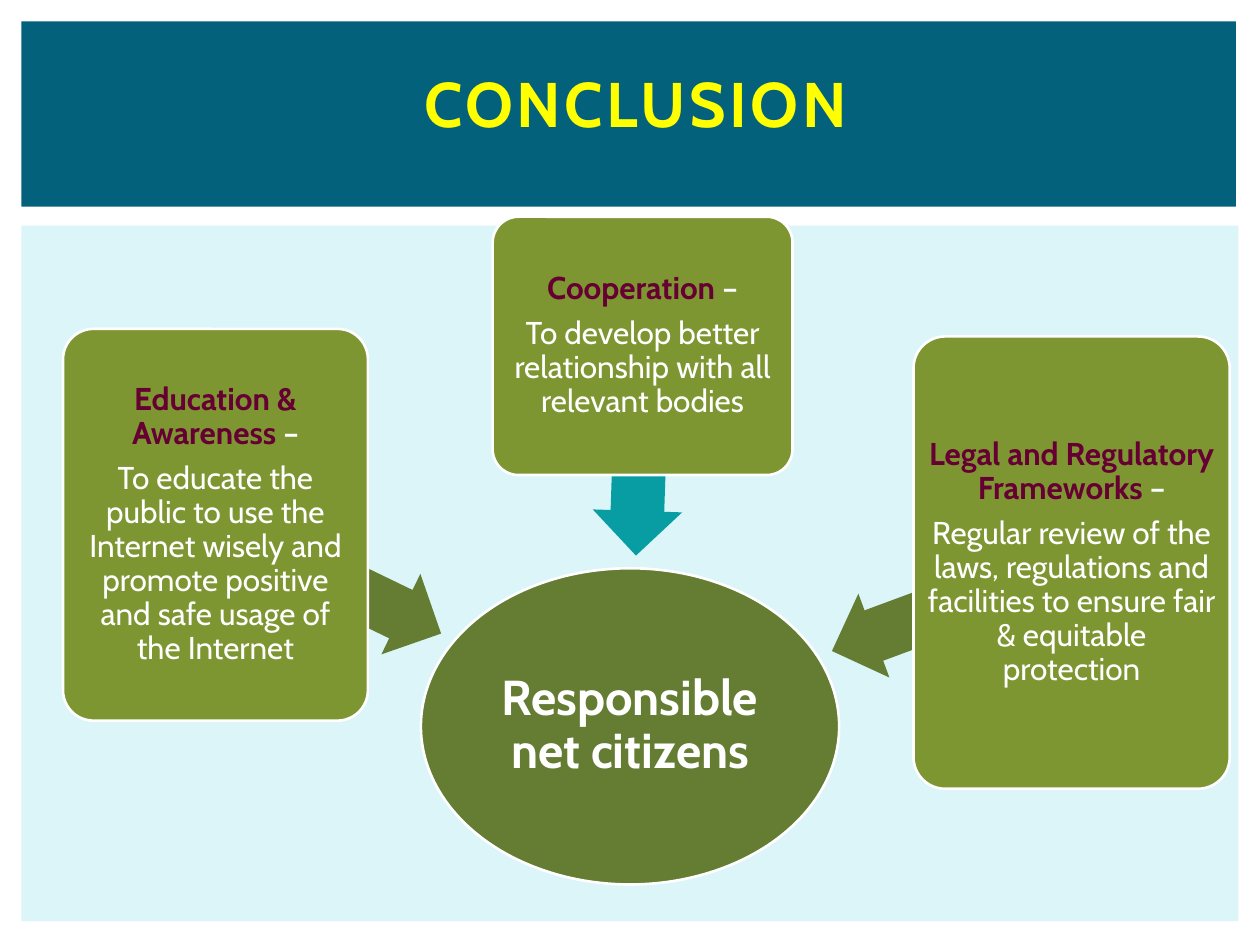
from pptx import Presentation
from pptx.dml.color import RGBColor
from pptx.enum.shapes import MSO_SHAPE
from pptx.enum.text import MSO_ANCHOR, PP_ALIGN
from pptx.util import Inches, Pt

RECTANGLE, ROUNDED = MSO_SHAPE.RECTANGLE, MSO_SHAPE.ROUNDED_RECTANGLE
OVAL, LEFT_ARROW = MSO_SHAPE.OVAL, MSO_SHAPE.LEFT_ARROW
MIDDLE, CENTER = MSO_ANCHOR.MIDDLE, PP_ALIGN.CENTER

FONT = "Cabin"
WHITE, YELLOW, MAROON = "FFFFFF", "FFFF00", "660033"
PANEL, BANNER = "DBF5F9", "04617B"
OLIVE, DARK_OLIVE, TEAL = "7E9632", "647D33", "089CA3"

TITLE = "CONCLUSION"
GOAL = "Responsible net citizens"
ARROW_HEIGHT = 0.71

# Boxes are left, top, width, height in inches; arrows are left, top, width
PILLARS = [
    {"heading": "Education & Awareness ",
     "body": "To educate the public to use the Internet wisely and promote "
             "positive and safe usage of the Internet",
     "box": (0.5, 2.61, 2.42, 3.11),
     "arrow": (1.61, 4.24, 1.99), "rotation": 205.8, "color": DARK_OLIVE},
    {"heading": "Cooperation ",
     "body": "To develop better relationship with all relevant bodies",
     "box": (3.91, 1.72, 2.38, 2.05),
     "arrow": (4.24, 3.22, 1.67), "rotation": 271.9, "color": TEAL},
    {"heading": "Legal and Regulatory Frameworks ",
     "body": "Regular review of the laws, regulations and facilities to "
             "ensure fair & equitable protection",
     "box": (7.25, 2.67, 2.51, 3.59),
     "arrow": (6.54, 4.46, 2.03), "rotation": 339.7, "color": DARK_OLIVE},
]


def rgb(color):
    return RGBColor.from_string(color)


def add_block(slide, kind, box, fill, outlined=False):
    shape = slide.shapes.add_shape(kind, *map(Inches, box))
    shape.shadow.inherit = False
    shape.fill.solid()
    shape.fill.fore_color.rgb = rgb(fill)
    if outlined:
        shape.line.color.rgb = rgb(WHITE)
        shape.line.width = Pt(1.5)
    else:
        shape.line.fill.background()
    return shape


def write(shape, paragraphs, size, margin):
    """Fill a shape with paragraphs, each a list of (text, color, bold) runs."""
    frame = shape.text_frame
    frame.word_wrap = True
    frame.vertical_anchor = MIDDLE
    frame.margin_left = frame.margin_right = Inches(margin)
    frame.margin_top = frame.margin_bottom = Inches(margin)
    for index, runs in enumerate(paragraphs):
        paragraph = frame.add_paragraph() if index else frame.paragraphs[0]
        paragraph.alignment = CENTER
        paragraph.line_spacing = 0.9
        paragraph.space_after = Pt(0.35 * size)
        paragraph.font.name = FONT
        paragraph.font.size = Pt(size)
        for text, color, bold in runs:
            run = paragraph.add_run()
            run.text = text
            run.font.name = FONT
            run.font.size = Pt(size)
            run.font.bold = bold
            run.font.color.rgb = rgb(color)


def add_title(slide):
    title = slide.shapes.add_textbox(*map(Inches, (0.58, 0.5, 8.93, 0.63)))
    write(title, [[(TITLE, YELLOW, True)]], 36, 0.05)
    paragraph = title.text_frame.paragraphs[0]
    paragraph.line_spacing = 1.0
    paragraph.space_after = Pt(0)
    paragraph.runs[0]._r.get_or_add_rPr().set("spc", "200")


def add_pillar(slide, pillar):
    arrow = add_block(slide, LEFT_ARROW, (*pillar["arrow"], ARROW_HEIGHT),
                      pillar["color"])
    arrow.rotation = pillar["rotation"]
    arrow.adjustments[0] = 0.6
    arrow.adjustments[1] = 0.5

    card = add_block(slide, ROUNDED, pillar["box"], OLIVE, outlined=True)
    card.adjustments[0] = 0.1
    heading = [(pillar["heading"], MAROON, True), ("–", WHITE, True)]
    write(card, [heading, [(pillar["body"], WHITE, False)]], 18, 0.04)


def main():
    presentation = Presentation()
    presentation.slide_width = Inches(10)
    presentation.slide_height = Inches(7.5)
    slide = presentation.slides.add_slide(presentation.slide_layouts[6])

    add_block(slide, RECTANGLE, (0.17, 1.79, 9.66, 5.52), PANEL)
    add_block(slide, RECTANGLE, (0.17, 0.17, 9.64, 1.47), BANNER)
    goal = add_block(slide, OVAL, (3.34, 4.51, 3.32, 2.51), DARK_OLIVE,
                     outlined=True)
    write(goal, [[(GOAL, WHITE, True)]], 28, 0.02)
    for pillar in PILLARS:
        add_pillar(slide, pillar)
    add_title(slide)

    presentation.save("out.pptx")


if __name__ == "__main__":
    main()
